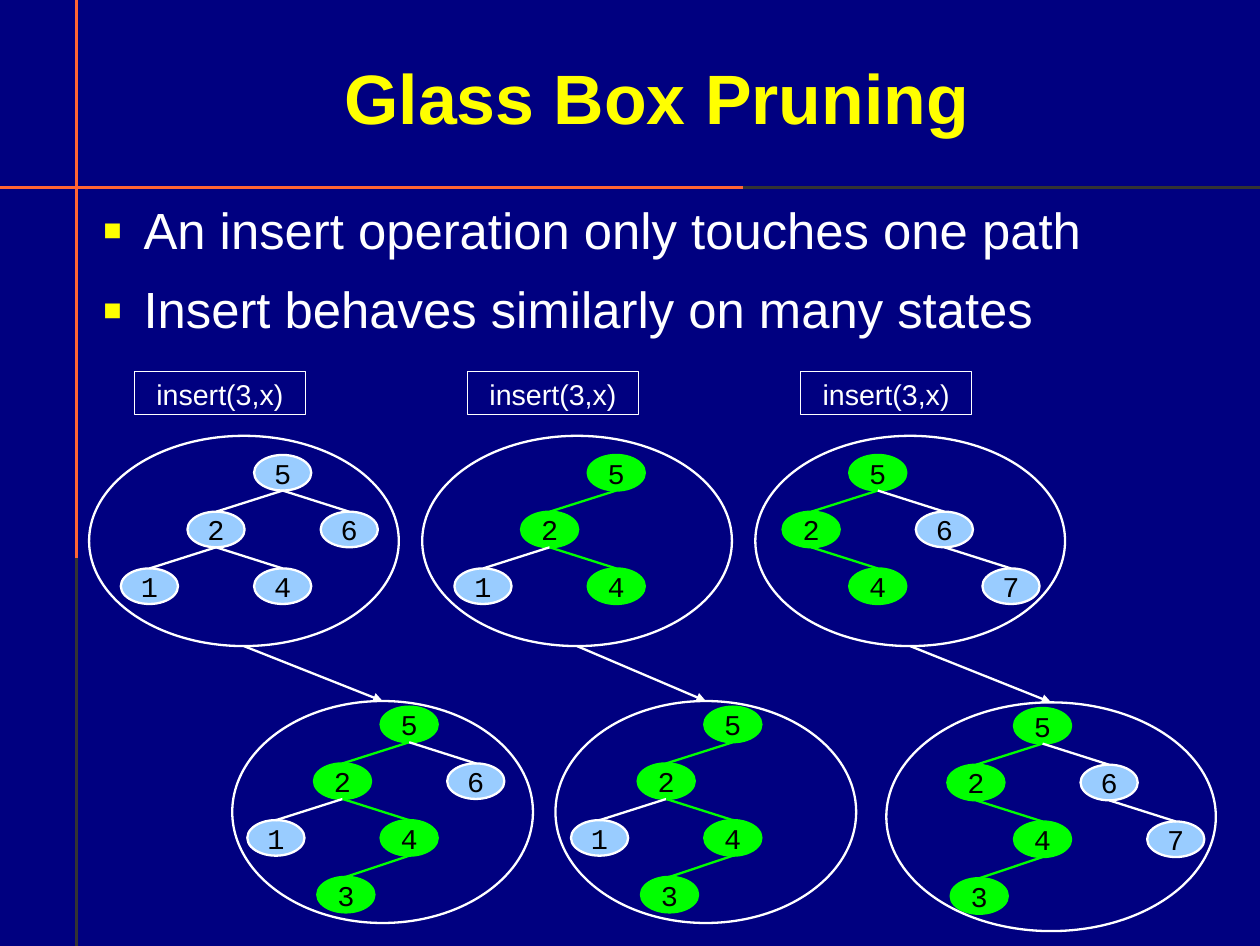
"""Build the slide on glass box pruning of binary search tree states."""
import pptx
import pptx.dml.color
import pptx.enum.shapes
import pptx.enum.text
import pptx.oxml
import pptx.oxml.ns
import pptx.util
from pptx.util import Cm

COLOURS = {
    "background": "000080", "title": "FFFF00", "text": "FFFFFF",
    "node_text": "000000", "untouched": "99CCFF", "touched": "00FF00",
    "rule_start": "FF6633", "rule_end": "333333",
}
SHAPES = pptx.enum.shapes.MSO_SHAPE
ALIGN = pptx.enum.text.PP_ALIGN
ANCHOR = pptx.enum.text.MSO_ANCHOR

SLIDE_WIDTH, SLIDE_HEIGHT = 27.99, 21.01
NODE_WIDTH, NODE_HEIGHT = 1.27, 0.79
COLUMN_STEP, ROW_STEP = 1.48, 1.26
OUTLINE = 1.45
CASE_STEP = 7.4
NODES = {
    "5": (0, 0, None), "2": (-1, 1, "5"), "6": (1, 1, "5"),
    "1": (-2, 2, "2"), "4": (0, 2, "2"), "7": (2, 2, "6"),
    "3": (-0.95, 3, "4"),
}
CASES = [
    {"before": ("52614", "", 6.28),
     "after": ("526143", "5243", 9.09, 16.09), "state": (5.16, 15.57, 6.68, 4.93)},
    {"before": ("5214", "524", 13.69),
     "after": ("52143", "5243", 16.28, 16.09), "state": (12.34, 15.57, 6.68, 4.93)},
    {"before": ("52647", "524", 19.5),
     "after": ("526437", "5243", 23.16, 16.12), "state": (19.69, 15.6, 7.32, 5.08)},
]


def rgb(name):
    return pptx.dml.color.RGBColor.from_string(COLOURS[name])


def write_text(shape, *lines, size, colour="text", font="Arial", bold=False,
               align=ALIGN.LEFT, anchor=ANCHOR.TOP, insets=(0, 0, 0, 0),
               wrap=True, spacing=None, after=None, bullet=False):
    frame = shape.text_frame
    frame.word_wrap = wrap
    frame.vertical_anchor = anchor
    (frame.margin_left, frame.margin_top,
     frame.margin_right, frame.margin_bottom) = map(Cm, insets)
    for index, line in enumerate(lines):
        paragraph = frame.add_paragraph() if index else frame.paragraphs[0]
        paragraph.alignment = align
        if spacing:
            paragraph.line_spacing = spacing
        if after:
            paragraph.space_after = pptx.util.Pt(after)
        if bullet:
            add_bullet(paragraph)
        run = paragraph.add_run()
        run.text = line
        run.font.name = font
        run.font.size = pptx.util.Pt(size)
        run.font.bold = bold
        run.font.color.rgb = rgb(colour)


def add_bullet(paragraph):
    properties = paragraph._p.get_or_add_pPr()
    properties.set("marL", str(Cm(1.19)))
    properties.set("indent", str(-Cm(0.89)))
    namespace = pptx.oxml.ns.nsdecls("a")
    for element in (
        f'<a:buClr {namespace}><a:srgbClr val="{COLOURS["title"]}"/></a:buClr>',
        f'<a:buSzPct {namespace} val="60000"/>',
        f'<a:buFont {namespace} typeface="Arial"/>',
        f'<a:buChar {namespace} char="■"/>',
    ):
        properties.append(pptx.oxml.parse_xml(element))


def add_box(shapes, kind, box, fill=None, line=None, width=OUTLINE):
    shape = shapes.add_shape(kind, *map(Cm, box))
    shape.shadow.inherit = False
    if fill:
        shape.fill.solid()
        shape.fill.fore_color.rgb = rgb(fill)
    else:
        shape.fill.background()
    if line:
        shape.line.color.rgb = rgb(line)
        shape.line.width = pptx.util.Pt(width)
    else:
        shape.line.fill.background()
    return shape


def add_rule(slide, box, angle):
    rule = add_box(slide.shapes, SHAPES.RECTANGLE, box)
    rule.fill.gradient()
    rule.fill.gradient_angle = angle
    for stop, colour in zip(rule.fill.gradient_stops, ("rule_start", "rule_end")):
        stop.color.rgb = rgb(colour)
        stop.position = 0.59


def add_line(shapes, start, end, colour="text", arrow=False):
    connector = shapes.add_connector(
        pptx.enum.shapes.MSO_CONNECTOR.STRAIGHT, *map(Cm, (*start, *end)))
    connector.line.color.rgb = rgb(colour)
    connector.line.width = pptx.util.Pt(OUTLINE)
    namespace = pptx.oxml.ns.nsdecls("a")
    if arrow:
        connector.line._get_or_add_ln().append(
            pptx.oxml.parse_xml(f'<a:tailEnd {namespace} type="triangle"/>'))
    connector._element.spPr.append(
        pptx.oxml.parse_xml(f"<a:effectLst {namespace}/>"))


def add_tree(shapes, labels, touched, root_x, root_y=10.5):
    def centre(label):
        column, row, _ = NODES[label]
        return root_x + column * COLUMN_STEP, root_y + row * ROW_STEP

    for label in labels:
        x, y = centre(label)
        is_touched = label in touched
        node = add_box(
            shapes, SHAPES.OVAL,
            (x - NODE_WIDTH / 2, y - NODE_HEIGHT / 2, NODE_WIDTH, NODE_HEIGHT),
            fill="touched" if is_touched else "untouched",
            line="touched" if is_touched else "text")
        write_text(node, label, size=18, colour="node_text", font="Courier New",
                   align=ALIGN.CENTER, anchor=ANCHOR.MIDDLE, wrap=False,
                   insets=(0.25, 0.15, 0.25, 0.15))
    for label in labels:
        parent = NODES[label][2]
        if parent:
            parent_x, parent_y = centre(parent)
            x, y = centre(label)
            add_line(shapes, (parent_x, parent_y + NODE_HEIGHT / 2),
                     (x, y - NODE_HEIGHT / 2),
                     "touched" if label in touched else "text")


def add_case(slide, index, case):
    shapes = slide.shapes.add_group_shape().shapes
    left, top, width, height = before_state = (
        1.98 + index * CASE_STEP, 9.68, 6.88, 4.67)
    call = add_box(shapes, SHAPES.RECTANGLE, (left + 1, 8.26, 3.81, 0.95),
                   line="text", width=0.75)
    write_text(call, "insert(3,x)", size=18, align=ALIGN.CENTER, spacing=0.93,
               insets=(0.25, 0.17, 0.25, 0.13))
    after_left, after_top, after_width, _ = case["state"]
    add_line(shapes, (left + width / 2, top + height),
             (after_left + after_width / 2, after_top), arrow=True)
    for tree, state in (("before", before_state), ("after", case["state"])):
        add_tree(shapes, *case[tree])
        add_box(shapes, SHAPES.OVAL, state, line="text")


def main():
    presentation = pptx.Presentation()
    presentation.slide_width = Cm(SLIDE_WIDTH)
    presentation.slide_height = Cm(SLIDE_HEIGHT)
    slide = presentation.slides.add_slide(presentation.slide_layouts[6])
    slide.background.fill.solid()
    slide.background.fill.fore_color.rgb = rgb("background")
    add_rule(slide, (0, 4.14, SLIDE_WIDTH, 0.07), angle=0)
    add_rule(slide, (1.67, 0, 0.07, SLIDE_HEIGHT), angle=270)
    title = slide.shapes.add_textbox(Cm(2), Cm(0.44), Cm(25.2), Cm(3.51))
    write_text(title, "Glass Box Pruning", size=44, colour="title", bold=True,
               align=ALIGN.CENTER, anchor=ANCHOR.MIDDLE, spacing=0.93,
               insets=(0, 0.1, 0, 0))
    for index, case in enumerate(CASES):
        add_case(slide, index, case)
    body = slide.shapes.add_textbox(Cm(2), Cm(4.45), Cm(25.2), Cm(13.87))
    write_text(body, "An insert operation only touches one path",
               "Insert behaves similarly on many states", size=32,
               spacing=0.93, after=14.2, bullet=True, insets=(0, 0.08, 0, 0))
    presentation.save("out.pptx")


if __name__ == "__main__":
    main()
